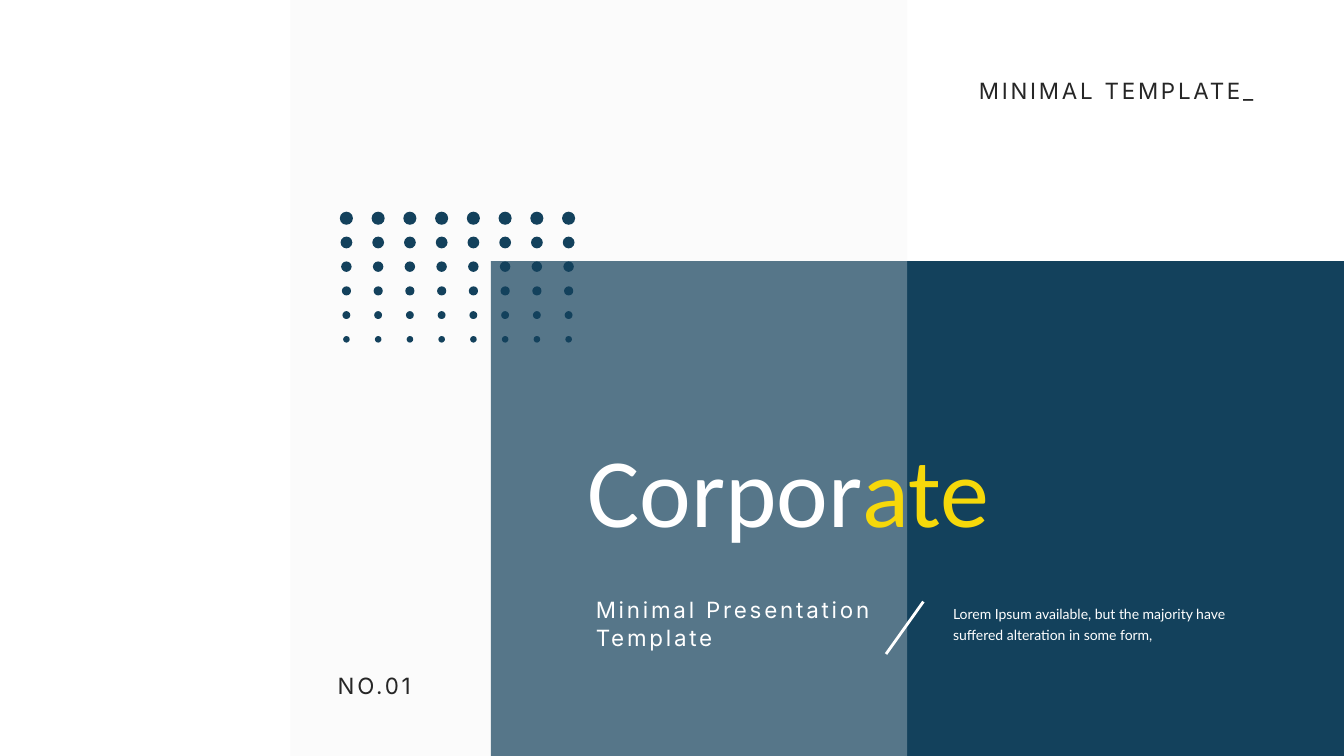
"""Build the cover slide of a minimal corporate template."""
from lxml.etree import SubElement
from pptx import Presentation
from pptx.dml.color import RGBColor
from pptx.enum.shapes import MSO_CONNECTOR, MSO_SHAPE
from pptx.enum.text import MSO_ANCHOR, MSO_AUTO_SIZE, PP_ALIGN
from pptx.oxml.ns import qn
from pptx.util import Cm, Pt

COLORS = {
    "navy": "13415C",
    "pale": "F2F2F2",
    "ink": "262626",
    "white": "FFFFFF",
    "yellow": "F6D80A",
}


def rgb(name):
    """Return the named colour."""
    return RGBColor.from_string(COLORS[name])


def add_filled(shapes, kind, left, top, width, height, color, alpha=None):
    """Add a borderless filled shape, measured in centimetres."""
    sp = shapes.add_shape(kind, Cm(left), Cm(top), Cm(width), Cm(height))
    sp.shadow.inherit = False
    sp.line.fill.background()
    sp.fill.solid()
    sp.fill.fore_color.rgb = rgb(color)
    if alpha is not None:
        clr = sp.element.spPr.find(f"{qn('a:solidFill')}/{qn('a:srgbClr')}")
        SubElement(clr, qn("a:alpha")).set("val", str(alpha * 1000))
    return sp


def add_dots(s, left, top, cols=8, rows=6, dx=0.8, dy=0.61):
    """Add a grouped grid of dots that shrink row by row."""
    group = s.shapes.add_group_shape()
    for col in range(cols):
        for row in range(rows):
            size = 0.33 - 0.033 * row
            add_filled(group.shapes, MSO_SHAPE.OVAL, left + col * dx - size / 2,
                       top + row * dy - size / 2, size, size, "navy")


def add_slash(s, x1, y1, x2, y2):
    """Add a white straight line."""
    line = s.shapes.add_connector(MSO_CONNECTOR.STRAIGHT, Cm(x1), Cm(y1), Cm(x2), Cm(y2))
    line.line.color.rgb = rgb("white")
    line.line.width = Pt(2)
    SubElement(line.element.spPr, qn("a:effectLst"))


def place(sp, left, top, width, height):
    """Move a placeholder to its place, in front of the earlier shapes."""
    sp.left, sp.top, sp.width, sp.height = Cm(left), Cm(top), Cm(width), Cm(height)
    sp.element.getparent().append(sp.element)
    return sp


def add_box(s, left, top, width, height):
    """Add an empty text box."""
    return s.shapes.add_textbox(Cm(left), Cm(top), Cm(width), Cm(height))


def write(sp, *runs, font="Inter", size=16, leading=20, spacing=0,
          align=PP_ALIGN.LEFT, wrap=True):
    """Write (text, colour) runs as one formatted paragraph."""
    tf = sp.text_frame
    tf.word_wrap = wrap
    tf.auto_size = MSO_AUTO_SIZE.SHAPE_TO_FIT_TEXT
    tf.vertical_anchor = MSO_ANCHOR.TOP
    p = tf.paragraphs[0]
    p.alignment = align
    p.line_spacing = Pt(leading)
    p.space_before = Pt(0)
    for text, color in runs:
        r = p.add_run()
        r.text = text
        r.font.name = font
        r.font.size = Pt(size)
        r.font.color.rgb = rgb(color)
        if spacing:
            r.font._element.set("spc", str(spacing * 100))


def main():
    """Build and save the slide."""
    prs = Presentation()
    prs.slide_width, prs.slide_height = Cm(33.87), Cm(19.05)
    s = prs.slides.add_slide(prs.slide_layouts[0])

    add_filled(s.shapes, MSO_SHAPE.RECTANGLE, 12.37, 6.58, 21.5, 12.47, "navy")
    add_filled(s.shapes, MSO_SHAPE.RECTANGLE, 7.32, 0, 15.54, 19.05, "pale", alpha=30)

    write(add_box(s, 24.28, 1.8, 7.57, 0.91), ("MINIMAL TEMPLATE_", "ink"),
          spacing=2, align=PP_ALIGN.RIGHT)
    write(place(s.shapes.title, 14.55, 11.18, 11.99, 2.87),
          ("Corpor", "white"), ("ate", "yellow"),
          font="Calibri", size=70, leading=70, wrap=False)
    write(place(s.placeholders[1], 14.76, 14.86, 7.9, 1.63),
          ("Minimal Presentation Template", "white"), spacing=2)
    write(add_box(s, 8.26, 16.79, 2.82, 0.91), ("NO.01", "ink"), spacing=2)

    add_dots(s, 8.73, 5.5)
    add_slash(s, 23.27, 15.16, 22.33, 16.48)
    write(add_box(s, 23.77, 15.04, 7.7, 1.27),
          ("Lorem Ipsum available, but the majority have suffered alteration in some form,",
           "white"), font="Lato", size=10, leading=15)

    prs.save("out.pptx")


if __name__ == "__main__":
    main()
